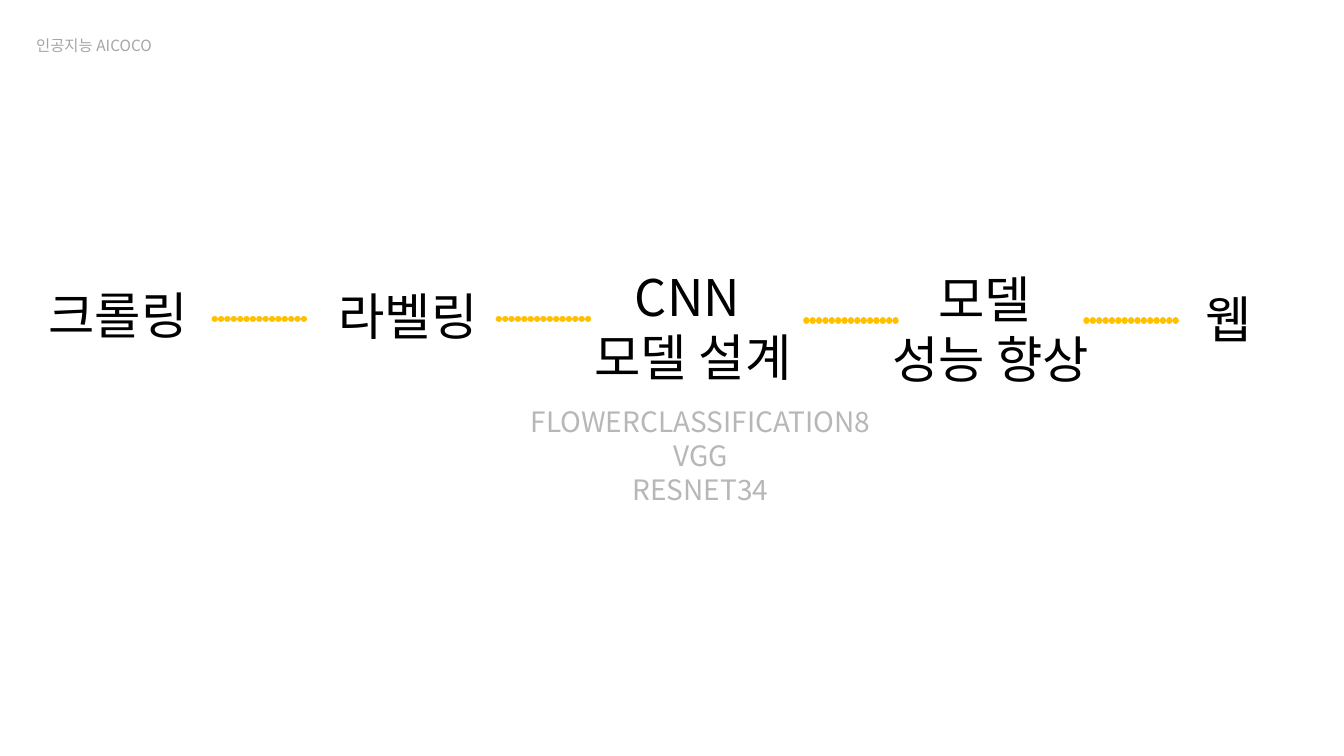
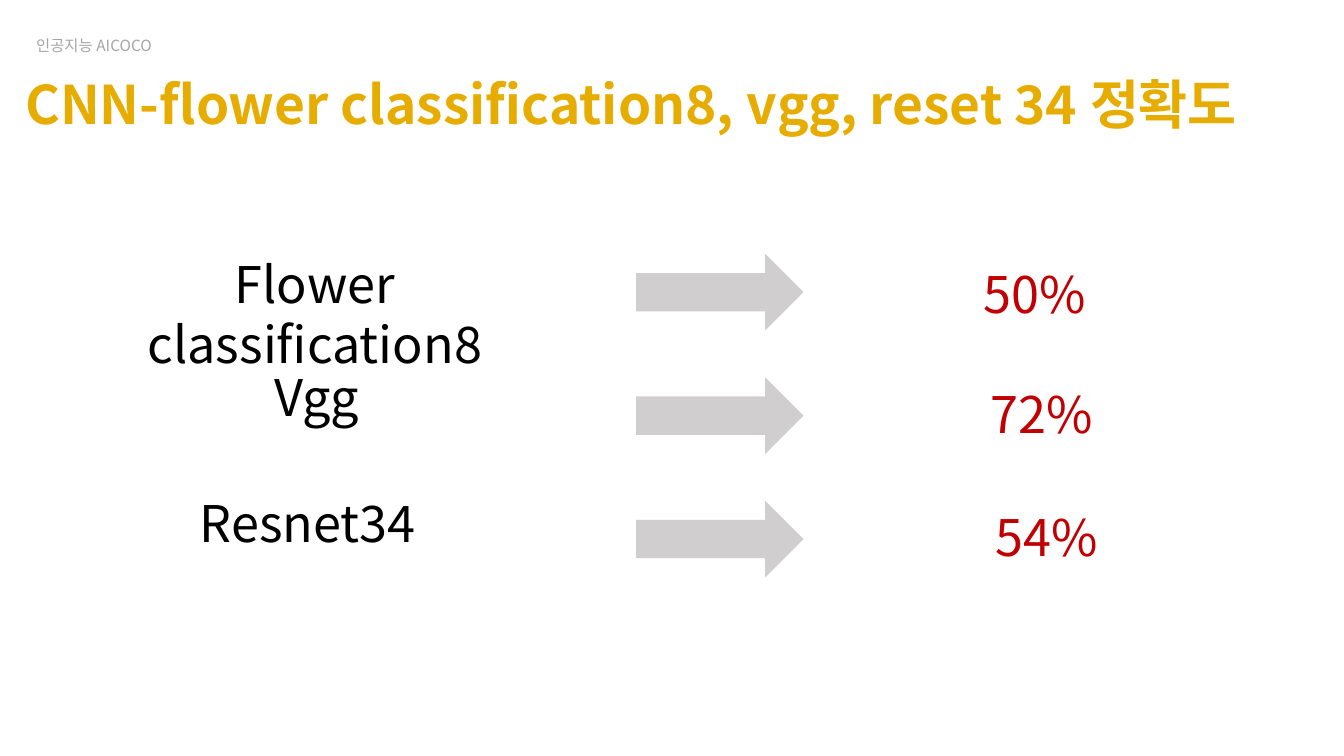
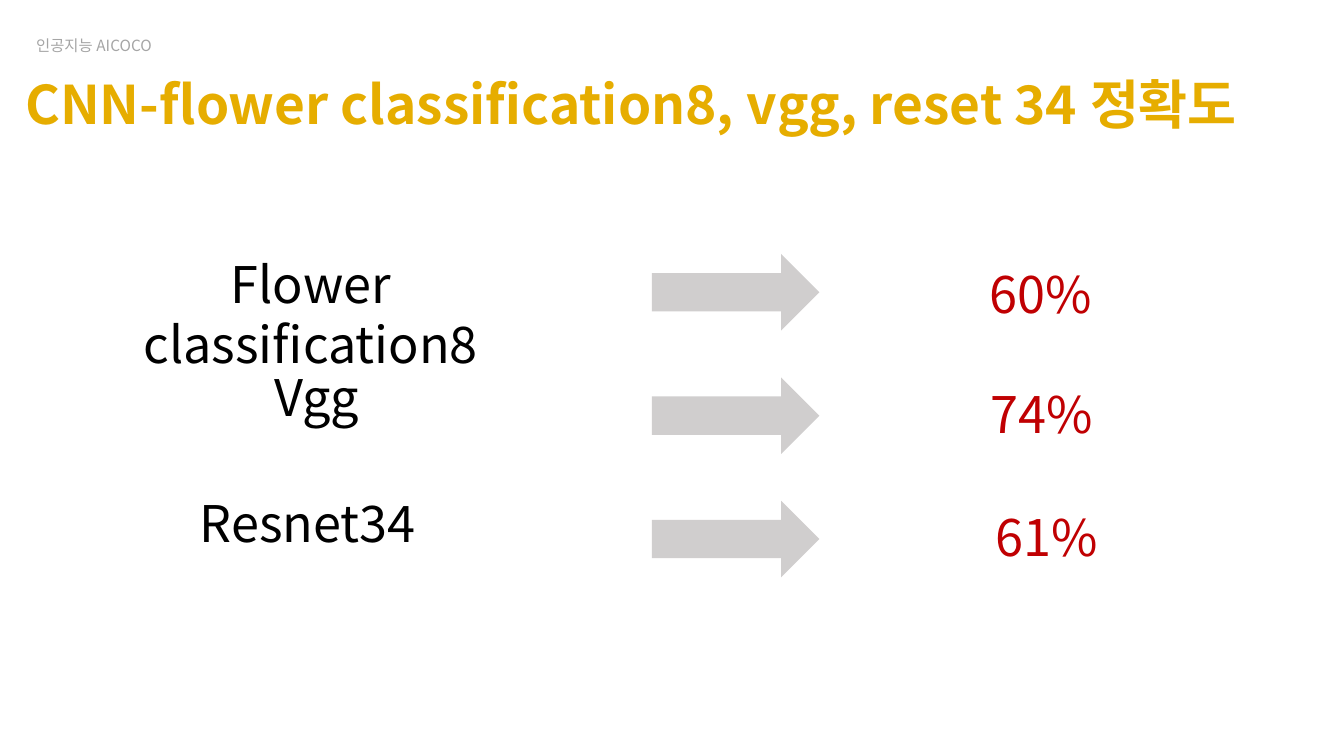
import pptx
import pptx.dml.color
import pptx.enum.dml
import pptx.enum.shapes
import pptx.enum.text
import pptx.oxml
import pptx.oxml.ns
import pptx.util
from dataclasses import dataclass

Cm = pptx.util.Cm
ALIGN = pptx.enum.text.PP_ALIGN


@dataclass(frozen=True)
class Theme:
    font: str = "Noto Sans CJK KR"
    header: str = "A5A5A5"
    title: str = "E6AD00"
    ink: str = "000000"
    muted: str = "B7B7B7"
    result: str = "C00002"
    arrow: str = "D0CECE"
    dots: str = "FFC000"
    header_size: float = 11
    title_size: float = 38
    main_size: float = 36
    model_size: float = 20
    dots_width: float = 4.5


THEME = Theme()

# Content; places are left, top, width, height in cm
HEADER = "인공지능 AICOCO"
HEADER_AT = (0.66, 0.79, 10.92, 0.74)
TITLE = "CNN-flower classification8, vgg, reset 34 정확도"
TITLE_AT = (0.38, 1.68, 31.83, 1.88)

STEPS = [
    (["크롤링"], (-1.24, 7.04, 8.43, 1.78)),
    (["라벨링"], (6.07, 7.06, 8.43, 1.78)),
    (["CNN ", "모델 설계"], (12.6, 6.58, 9.73, 3.3)),
    (["모델 ", "성능 향상"], (19.69, 6.63, 10.54, 3.3)),
    (["웹"], (25.7, 7.14, 10.54, 1.78)),
]
LINKS = [(5.41, 8.03), (12.57, 8.03), (20.32, 8.08), (27.38, 8.08)]
LINK_LENGTH = 2.26
MODELS = ["FLOWERCLASSIFICATION8", "VGG", "RESNET34"]
MODELS_AT = (10.49, 10.08, 14.33, 2.79)

MODEL_ROWS = [
    ("Flower classification8", (1.52, 6.25, 12.83, 3.3), (20.07, 6.5)),
    ("Vgg", (1.83, 9.09, 12.32, 1.78), (20.09, 9.53)),
    ("Resnet34", (1.6, 12.27, 12.32, 1.78), (20.22, 12.62)),
]
RESULT_SIZE = (12.32, 1.78)
ARROW_TOP, ARROW_STEP, ARROW_SIZE = 6.4, 3.11, (4.22, 1.93)
# Accuracy figures, arrow left, width of the first label
ACCURACIES = [
    (["50% ", "72%", "54%"], 16.03, 12.83),
    (["60%", "74%", "61%"], 16.43, 12.62),
]


def rgb(value):
    return pptx.dml.color.RGBColor.from_string(value)


def write(slide, lines, at, *, size=THEME.main_size, color=THEME.ink,
          align=ALIGN.CENTER, bold=False, box=None):
    """Put lines into a new text box, or into the given placeholder."""
    place = [Cm(value) for value in at]
    if box is None:
        box = slide.shapes.add_textbox(*place)
    box.left, box.top, box.width, box.height = place
    frame = box.text_frame
    frame.word_wrap = True
    frame.auto_size = pptx.enum.text.MSO_AUTO_SIZE.NONE
    frame.vertical_anchor = pptx.enum.text.MSO_ANCHOR.TOP
    for i, line in enumerate(lines):
        paragraph = frame.add_paragraph() if i else frame.paragraphs[0]
        paragraph.alignment = align
        run = paragraph.add_run()
        run.text = line
        font = run.font
        font.name, font.size, font.bold = THEME.font, pptx.util.Pt(size), bold
        font.color.rgb = rgb(color)
        east_asian = pptx.oxml.parse_xml(
            f'<a:ea {pptx.oxml.ns.nsdecls("a")} typeface="{THEME.font}"/>')
        run._r.get_or_add_rPr().find(pptx.oxml.ns.qn("a:latin")).addnext(east_asian)


def new_slide(deck, title=None):
    """Add a slide with the shared header and, if given, the shared title."""
    slide = deck.slides.add_slide(deck.slide_layouts[5 if title else 6])
    write(slide, [HEADER], HEADER_AT, size=THEME.header_size,
          color=THEME.header, align=ALIGN.LEFT)
    if title:
        write(slide, [title], TITLE_AT, size=THEME.title_size, color=THEME.title,
              align=ALIGN.LEFT, bold=True, box=slide.shapes.title)
    return slide


def dotted_link(slide, left, top):
    link = slide.shapes.add_connector(
        pptx.enum.shapes.MSO_CONNECTOR.STRAIGHT,
        Cm(left), Cm(top), Cm(left + LINK_LENGTH), Cm(top))
    link.line.color.rgb = rgb(THEME.dots)
    link.line.width = pptx.util.Pt(THEME.dots_width)
    # Round dots that touch each other
    outline = link.line._get_or_add_ln()
    outline.set("cap", "rnd")
    ns = pptx.oxml.ns.nsdecls("a")
    outline.append(pptx.oxml.parse_xml(
        f'<a:custDash {ns}><a:ds d="100000" sp="1000"/></a:custDash>'))
    outline.append(pptx.oxml.parse_xml(f"<a:round {ns}/>"))
    link._element.spPr.append(pptx.oxml.parse_xml(f"<a:effectLst {ns}/>"))


def right_arrow(slide, left, top):
    arrow = slide.shapes.add_shape(
        pptx.enum.shapes.MSO_SHAPE.RIGHT_ARROW,
        *[Cm(value) for value in (left, top, *ARROW_SIZE)])
    arrow.shadow.inherit = False
    arrow.fill.solid()
    arrow.fill.fore_color.rgb = rgb(THEME.arrow)
    arrow.line.fill.background()


def process_slide(deck):
    slide = new_slide(deck)
    for lines, at in STEPS:
        write(slide, lines, at)
    for left, top in LINKS:
        dotted_link(slide, left, top)
    write(slide, MODELS, MODELS_AT, size=THEME.model_size, color=THEME.muted)


def accuracy_slide(deck, figures, arrow_left, first_width):
    slide = new_slide(deck, TITLE)
    for i, ((model, at, result_at), figure) in enumerate(zip(MODEL_ROWS, figures)):
        left, top, width, height = at
        write(slide, [model], (left, top, width if i else first_width, height))
        right_arrow(slide, arrow_left, ARROW_TOP + i * ARROW_STEP)
        write(slide, [figure], (*result_at, *RESULT_SIZE), color=THEME.result)


def main():
    deck = pptx.Presentation()
    deck.slide_width, deck.slide_height = Cm(33.87), Cm(19.05)
    process_slide(deck)
    for figures, arrow_left, first_width in ACCURACIES:
        accuracy_slide(deck, figures, arrow_left, first_width)
    deck.save("out.pptx")


if __name__ == "__main__":
    main()
